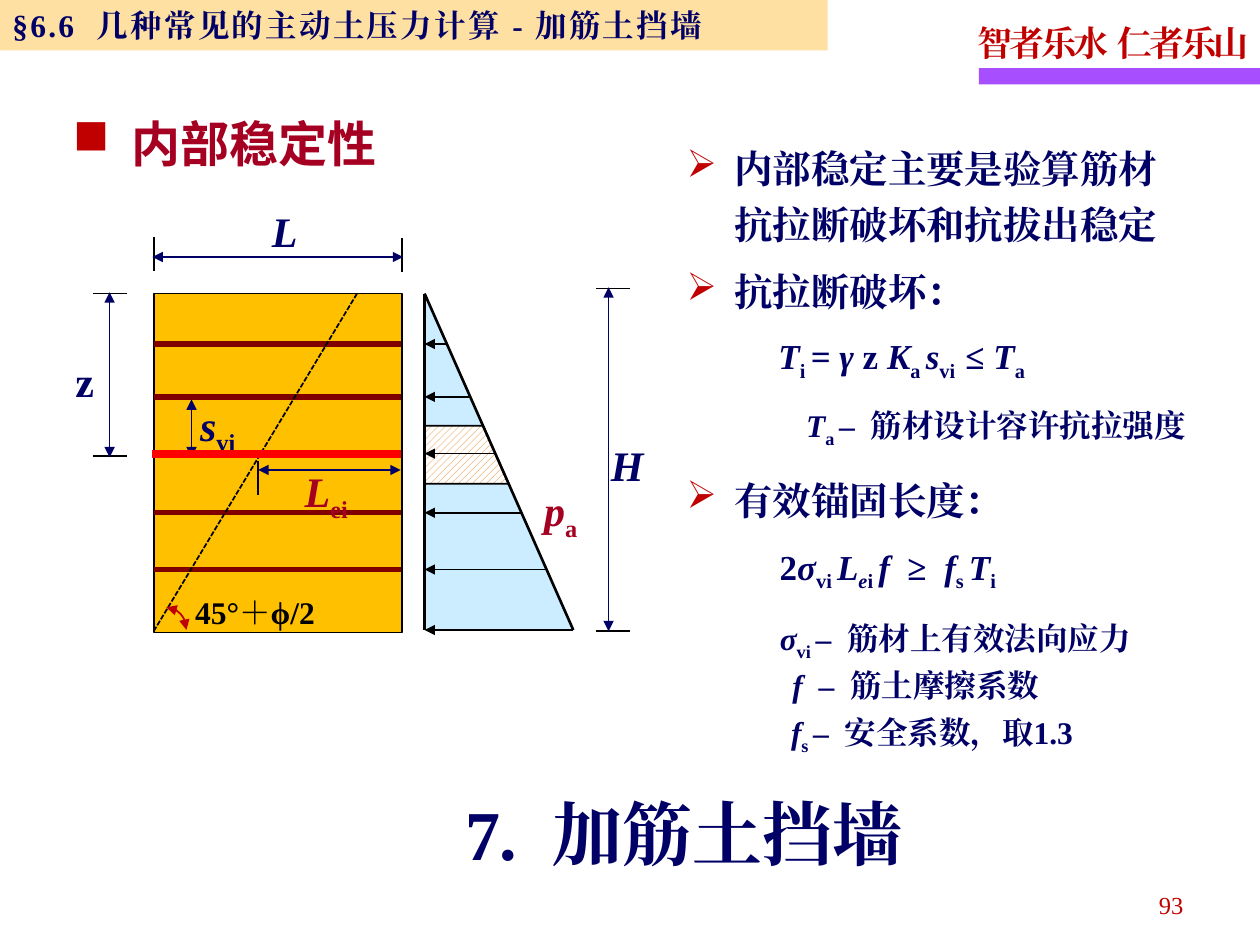
from lxml.etree import SubElement as Sub
from pptx import Presentation
from pptx.dml.color import RGBColor as RGB
from pptx.enum.dml import MSO_LINE, MSO_PATTERN
from pptx.enum.shapes import MSO_CONNECTOR, MSO_SHAPE as Kind
from pptx.enum.text import MSO_ANCHOR as Anchor, PP_ALIGN as Align
from pptx.oxml.ns import qn
from pptx.util import Inches, Pt


class Theme:
    navy, red, wine, black = "000066", "C00000", "A50021", "000000"
    sand, gold, sky, violet = "FFCC66", "FFC000", "CCECFF", "A74FFF"
    bar, hot, hatch, white = "800000", "FF0000", "E57300", "FFFFFF"
    serif, sans = "Times New Roman", "Noto Sans CJK SC"
    title, head, label, point, form, note, page = 40, 28, 24, 22, 20, 18, 14


T = Theme

TITLE = "7.  加筋土挡墙"
CHAPTER = "§6.6  几种常见的主动土压力计算 - 加筋土挡墙"
MOTTO = "智者乐水  仁者乐山"
HEAD = " 内部稳定性"

POINTS = [
    ((5.35, 1.03, 4.22, 1.54), ["内部稳定主要是验算筋材抗拉断破坏和抗拔出稳定", "抗拉断破坏："]),
    ((5.35, 3.66, 2.88, 0.55), ["有效锚固长度："]),
]

NOTES = [
    ((6.08, 2.55, 2.44, 0.49), T.form, [
        ("T", "i"), ("i ", "_"), ("= γ ", "i"), ("z ", ""), ("K", "i"), ("a ", "_"),
        ("s", "i"), ("vi  ", "_"), ("≤ ", ""), ("T", "i"), ("a", "_")]),
    ((6.3, 3.12, 3.32, 0.45), T.note, [("T", "i"), ("a ", "_"), ("–  筋材设计容许抗拉强度", "")]),
    ((6.09, 4.22, 2.34, 0.46), T.form, [
        ("2", ""), ("σ", "i"), ("vi ", "_"), ("L", "i"), ("e", "i_"), ("i ", "_"),
        ("f  ", "i"), ("≥  ", ""), ("f", "i"), ("s ", "_"), ("T", "i"), ("i", "_")]),
    ((6.09, 4.81, 3.32, 0.45), T.note, [("σ", "i"), ("vi ", "_"), ("–  筋材上有效法向应力", "")]),
    ((6.19, 5.19, 3.32, 0.45), T.note, [("f  ", "i"), ("–  筋土摩擦系数", "")]),
    ((6.18, 5.56, 2.74, 0.45), T.note, [("f", "i"), ("s ", "_"), ("–  安全系数，取1.3", "")]),
]

LABELS = [
    (4.75, 3.38, T.navy, [("H", "i")]),
    (2.06, 1.52, T.navy, [("L", "i")]),
    (4.22, 3.73, T.wine, [("p", "i"), ("a", "_")]),
    (0.5, 2.71, T.navy, [("z", "")]),
    (1.49, 3.05, T.navy, [("s", "i"), ("vi", "_")]),
    (2.32, 3.58, T.wine, [("L", "i"), ("ei", "_")]),
]

WALL = (1.22, 2.33, 1.97, 2.69)
LOAD = (3.37, 2.33, 1.18, 2.67)
BARS = [2.73, 3.15, 3.6, 4.07, 4.52]
BAND = (3.38, 3.84)
SPANS = [
    (4.83, 2.28, 4.83, 5.01), (1.21, 2.04, 3.2, 2.04), (1.52, 3.17, 1.52, 3.63),
    (0.87, 2.32, 0.87, 3.63), (2.05, 3.73, 3.18, 3.73),
]
TICKS = [
    (4.73, 2.29, 5, 2.29), (4.73, 5.01, 5, 5.01), (1.22, 1.88, 1.22, 2.15),
    (3.19, 1.89, 3.19, 2.16), (0.74, 2.33, 1.01, 2.33), (0.74, 3.62, 1.01, 3.62),
    (2.05, 3.66, 2.05, 3.93),
]

deck = Presentation()
deck.slide_width, deck.slide_height = Inches(10), Inches(7.5)
slide = deck.slides.add_slide(deck.slide_layouts[5])
parts = slide.shapes


def color(code):
    return RGB.from_string(code)


def write(para, runs, size, ink=T.navy, face=T.serif, bold=True, gap=0):
    for text, style in runs:
        run = para.add_run()
        run.text = text
        font = run.font
        font.size, font.name, font.bold = Pt(size), face, bold
        font.italic = "i" in style
        font.color.rgb = color(ink)
        props = run._r.get_or_add_rPr()
        Sub(props, qn("a:ea"), typeface=face)
        if "_" in style:
            props.set("baseline", "-25000")
        if gap:
            props.set("spc", str(gap))


def text(box, runs, size, lead=1.15, wrap=True, mid=False, **look):
    frame = parts.add_textbox(*map(Inches, box)).text_frame
    frame.word_wrap = wrap
    frame.vertical_anchor = Anchor.MIDDLE if mid else Anchor.TOP
    para = frame.paragraphs[0]
    para.line_spacing = lead
    write(para, runs, size, **look)
    return frame


def bullet(para, mark):
    props = para._p.get_or_add_pPr()
    props.set("marL", str(Inches(0.38)))
    props.set("indent", str(-Inches(0.38)))
    Sub(Sub(props, qn("a:buClr")), qn("a:srgbClr"), val=T.red)
    Sub(props, qn("a:buChar"), char=mark)


def area(box, fill, kind=Kind.RECTANGLE, edge=None):
    item = parts.add_shape(kind, *map(Inches, box))
    item.shadow.inherit = False
    item.fill.solid()
    item.fill.fore_color.rgb = color(fill)
    if edge:
        stroke(item, edge, 1)
    else:
        item.line.fill.background()
    return item


def stroke(item, ink, width, ends=()):
    item.line.color.rgb = color(ink)
    item.line.width = Pt(width)
    for end in ends:
        Sub(item.line._get_or_add_ln(), qn(f"a:{end}End"), type="triangle")


def line(span, ink=T.black, width=1, ends=(), dash=None):
    item = parts.add_connector(MSO_CONNECTOR.STRAIGHT, *map(Inches, span))
    if dash:
        item.line.dash_style = dash
    stroke(item, ink, width, ends)
    Sub(item._element.spPr, qn("a:effectLst"))


def slope(y):
    left, top, wide, high = LOAD
    return left + wide * (y - top) / high


title = parts.title
title.left, title.top, title.width, title.height = map(Inches, (1.89, 6.22, 7.07, 0.77))
title.text_frame.word_wrap = True
title.text_frame.vertical_anchor = Anchor.TOP
title.text_frame.paragraphs[0].alignment = Align.CENTER
write(title.text_frame.paragraphs[0], [(TITLE, "")], T.title)

area((7.77, 0.54, 2.23, 0.13), T.violet)
text((7.66, 0.07, 2.36, 0.49), [(MOTTO, "")], T.form, wrap=False, ink=T.red, gap=-170)
page = text((7.16, 6.96, 2.33, 0.4), [("93", "")], T.page, mid=True, ink=T.red, bold=False)
page.paragraphs[0].alignment = Align.RIGHT
strip = area((0, 0, 6.57, 0.4), T.sand)
Sub(strip._element.spPr.find(".//" + qn("a:srgbClr")), qn("a:alpha"), val="60000")
strip.text_frame.vertical_anchor = Anchor.MIDDLE
strip.text_frame.paragraphs[0].alignment = Align.LEFT
write(strip.text_frame.paragraphs[0], [(CHAPTER, "")], T.note, gap=130)

area(LOAD, T.sky, Kind.RIGHT_TRIANGLE)
high, low = BAND
left, top, wide, tall = LOAD
path = parts.build_freeform(Inches(slope(low)), Inches(low))
path.add_line_segments([(Inches(x), Inches(y)) for x, y in
                        ((left, low), (left, high), (slope(high), high))])
band = path.convert_to_shape()
band.shadow.inherit = False
band.fill.patterned()
band.fill.pattern = MSO_PATTERN.WIDE_UPWARD_DIAGONAL
band.fill.fore_color.rgb, band.fill.back_color.rgb = color(T.hatch), color(T.white)
stroke(band, T.black, 1)
area(WALL, T.gold, edge=T.black)

for y in BARS:
    line((1.22, y, 3.18, y), T.bar, 3)
    line((slope(y), y, left, y), ends=["tail"])
base = top + tall
line((left + wide, base, left, base), width=1.5, ends=["tail"])
line((left, top, left, base), width=1.5)
line((left, top, left + wide, base), width=1.5)
line((1.22, 5.01, 2.84, 2.32), dash=MSO_LINE.SQUARE_DOT)
for span in TICKS:
    line(span)
for span in SPANS:
    line(span, T.navy, 0.75, ["head", "tail"])
arc = area((1.16, 4.82, 0.32, 0.36), T.gold, Kind.ARC)
arc.fill.background()
stroke(arc, T.red, 1, ["head", "tail"])

heading = text((0.48, 0.67, 4.05, 0.69), [(HEAD, "")], T.head, lead=1.5, mid=True,
               ink=T.wine, face=T.sans)
bullet(heading.paragraphs[0], "■")
for box, items in POINTS:
    frame = text(box, [(items[0], "")], T.point, lead=1.2)
    for item in items[1:]:
        para = frame.add_paragraph()
        para.line_spacing, para.space_before = 1.2, Pt(3.5)
        write(para, [(item, "")], T.point)
    for para in frame.paragraphs:
        para.space_after = Pt(3.5)
        bullet(para, "➢")
for box, size, runs in NOTES:
    text(box, runs, size)
for x, y, ink, runs in LABELS:
    text((x, y, 0.58, 0.53), runs, T.label, ink=ink)
text((1.45, 4.61, 1.17, 0.45), [("45°＋ϕ/2", "")], T.note, ink=T.black)
line((1.21, 3.6, 3.18, 3.6), T.hot, 4.5)

deck.save("out.pptx")
